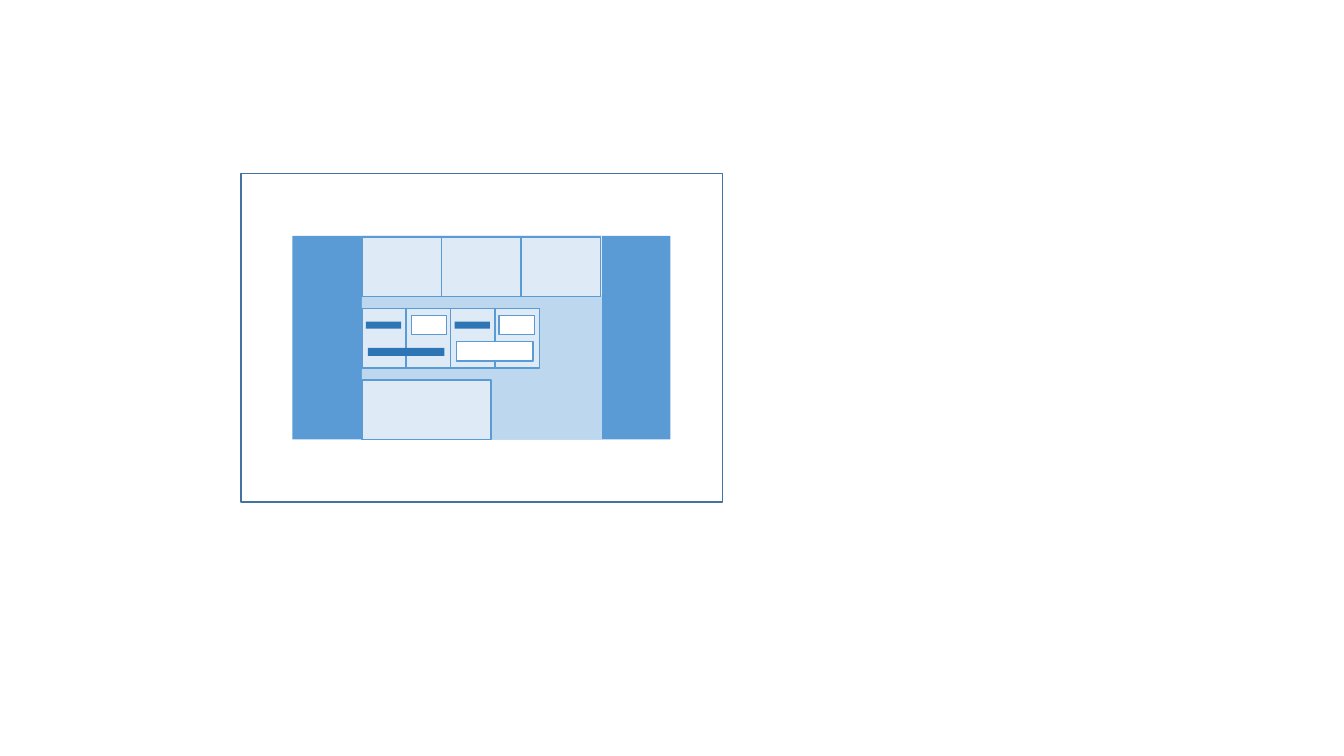
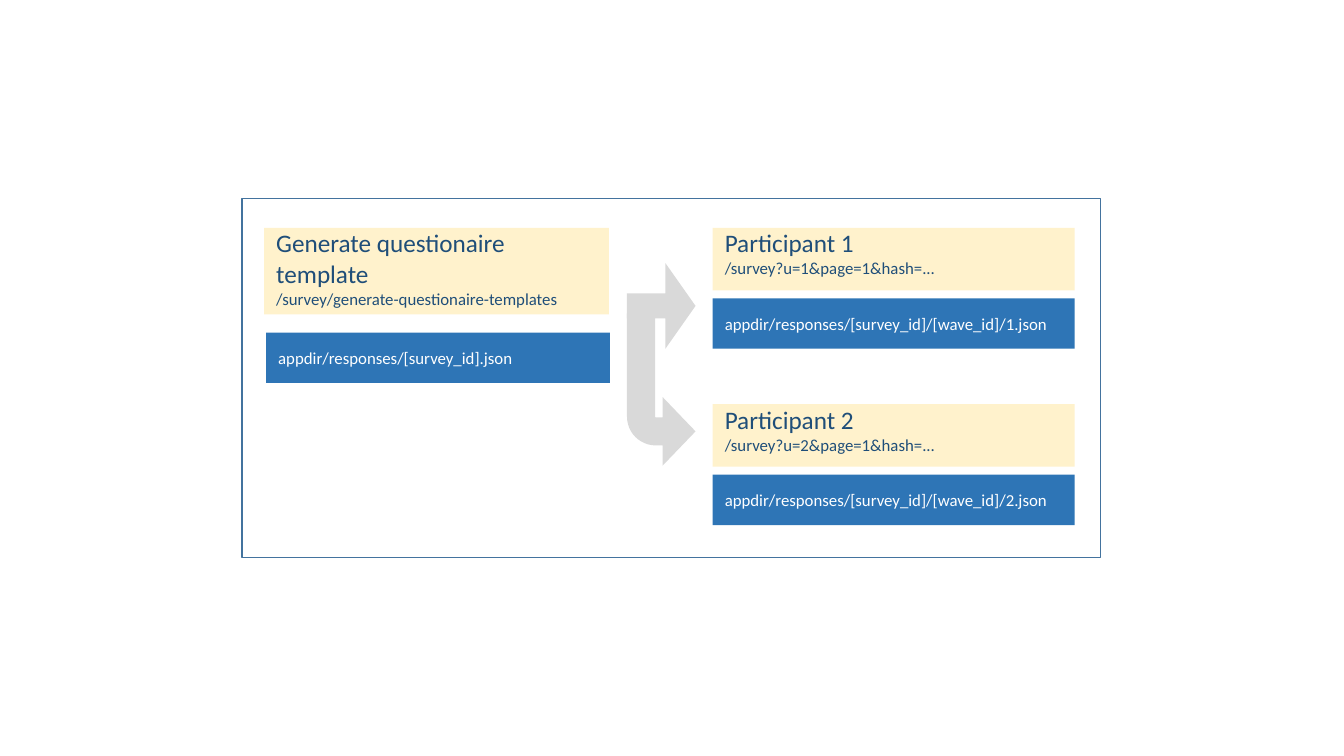
from pptx import Presentation
from pptx.dml.color import RGBColor
from pptx.enum.shapes import MSO_SHAPE as SHAPE
from pptx.enum.text import MSO_ANCHOR as ANCHOR, PP_ALIGN as ALIGN
from pptx.util import Inches, Pt

# Both slides lie on one grid of square cells
CELL = Inches(0.1)
COLUMNS, ROWS = 133.33, 75

FONT = "Calibri"
WHITE, FRAME = "FFFFFF", "43739E"
EDGE, MIDDLE, PALE, DARK = "5B9BD5", "BDD7EE", "DEEBF7", "2E75B6"
CREAM, NAVY, GREY = "FFF2CC", "1F4E79", "D9D9D9"


def cells(count):
    return round(count * CELL)


def color(hex_string):
    return RGBColor.from_string(hex_string)


def block(slide, col, row, cols, rows, fill, line=None, kind=SHAPE.RECTANGLE, adjust=()):
    """Flat shape placed by grid column and row."""
    shape = slide.shapes.add_shape(kind, *map(cells, (col, row, cols, rows)))
    shape.shadow.inherit = False
    shape.fill.solid()
    shape.fill.fore_color.rgb = color(fill)
    if line:
        shape.line.color.rgb = color(line)
        shape.line.width = Pt(1)
    else:
        shape.line.fill.background()
    for index, value in enumerate(adjust):
        shape.adjustments[index] = value
    return shape


def write(shape, *lines, ink, sizes, anchor=ANCHOR.TOP, insets=(1.2, 0, 0, 0)):
    """One paragraph per line; a vertical tab breaks within a paragraph."""
    frame = shape.text_frame
    frame.word_wrap = True
    frame.vertical_anchor = anchor
    (frame.margin_left, frame.margin_top,
     frame.margin_right, frame.margin_bottom) = map(cells, insets)
    for index, (line, size) in enumerate(zip(lines, sizes)):
        paragraph = frame.add_paragraph() if index else frame.paragraphs[0]
        paragraph.text = line
        paragraph.alignment = ALIGN.LEFT
        for run in paragraph.runs:
            run.font.name = FONT
            run.font.size = Pt(size)
            run.font.color.rgb = color(ink)


def step(slide, col, row, cols, rows, title, address):
    """Cream card with a title and the address that it calls."""
    card = block(slide, col, row, cols, rows, CREAM)
    write(card, title, address, ink=NAVY, sizes=(18, 12))


def stored_file(slide, col, row, cols, file_name):
    """Blue bar naming the file that a step writes."""
    bar = block(slide, col, row, cols, 5, DARK)
    write(bar, file_name, ink=WHITE, sizes=(12,), anchor=ANCHOR.MIDDLE,
          insets=(1.2, 0.5, 1, 0.5))


def card_row(slide, col, row, pitch, count):
    """Pale outlined cards side by side."""
    for index in range(count):
        block(slide, col + index * pitch, row, pitch, 5.9, PALE, EDGE)


def layout_slide(slide):
    left = 35.9
    block(slide, 23.9, 17.2, 47.8, 32.6, WHITE, FRAME)
    # Page, content column and header band
    block(slide, 29, 23.4, 37.5, 20.2, EDGE)
    block(slide, left, 23.4, 23.8, 20.2, MIDDLE)
    block(slide, left, 23.4, 23.8, 5.9, PALE)
    # Rows of cards
    card_row(slide, left, 23.5, 7.9, 3)
    card_row(slide, left, 37.7, 12.8, 1)
    card_row(slide, left, 30.6, 4.4, 4)
    # Form: labels with their entry fields
    for col in (40.8, 49.5):
        block(slide, col, 31.3, 3.5, 1.9, WHITE, EDGE)
    block(slide, 45.3, 33.9, 7.6, 1.9, WHITE, EDGE)
    for col in (36.3, 45.1):
        block(slide, col, 31.9, 3.5, 0.7, DARK)
    block(slide, 36.5, 34.5, 7.6, 0.8, DARK)


def survey_slide(slide):
    block(slide, 24, 19.7, 85.2, 35.6, WHITE, FRAME)
    # Template
    step(slide, 26.2, 22.6, 34.2, 8.6, "Generate questionaire\vtemplate",
         "/survey/generate-questionaire-templates")
    stored_file(slide, 26.4, 33, 34.1, "appdir/responses/[survey_id].json")
    # Arrows to the participants
    block(slide, 62.2, 26.1, 6.8, 8.5, GREY, kind=SHAPE.RIGHT_ARROW, adjust=(0.29, 0.44))
    bend = block(slide, 62.2, 31.1, 6.8, 15.1, GREY, kind=SHAPE.BENT_ARROW,
                 adjust=(0.41, 0.5, 0.48, 0.42))
    bend._element.spPr.xfrm.set("flipV", "1")
    # Participants
    for number in (1, 2):
        row = 22.6 + (number - 1) * 17.5
        step(slide, 70.7, row, 35.9, 6.2, f"Participant {number}",
             f"/survey?u={number}&page=1&hash=...")
        stored_file(slide, 70.7, row + 7, 35.9,
                    f"appdir/responses/[survey_id]/[wave_id]/{number}.json")


def main():
    deck = Presentation()
    deck.slide_width, deck.slide_height = cells(COLUMNS), cells(ROWS)
    blank = deck.slide_layouts[6]
    for build in (layout_slide, survey_slide):
        build(deck.slides.add_slide(blank))
    deck.save("out.pptx")


main()
